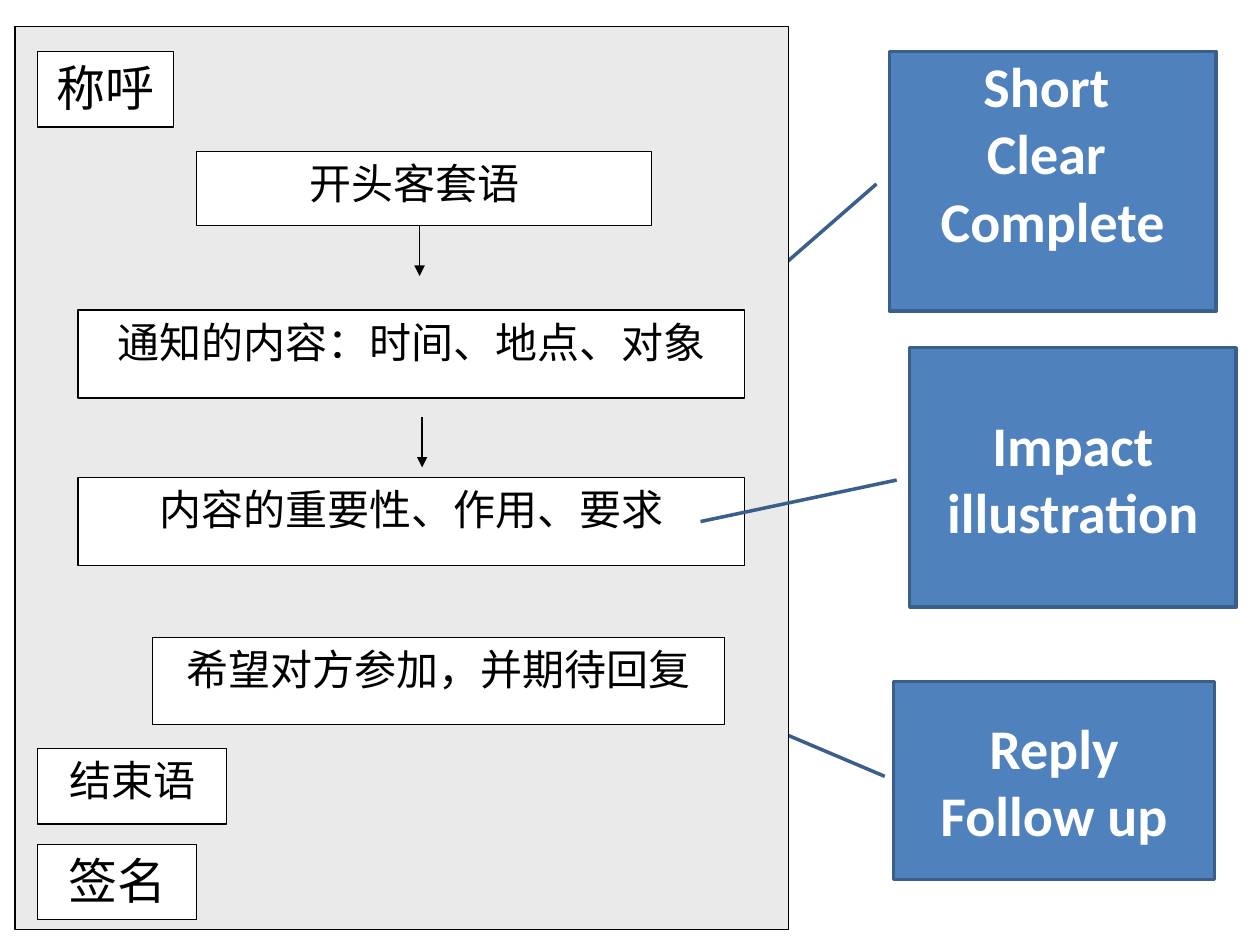
import pptx
import pptx.dml.color
import pptx.enum.shapes
import pptx.enum.text
import pptx.oxml.ns
import pptx.util
from lxml import etree

SHAPE = pptx.enum.shapes.MSO_SHAPE
ALIGN = pptx.enum.text.PP_ALIGN
ANCHOR = pptx.enum.text.MSO_ANCHOR
CELL = pptx.util.Inches(0.1)
COLS, ROWS = 100, 75

STEP_FONT = {"name": "Times New Roman", "size": pptx.util.Pt(24), "bold": False}
ENDS_FONT = {**STEP_FONT, "size": pptx.util.Pt(28)}
CALLOUT_FONT = {"name": "Calibri", "size": pptx.util.Pt(32), "bold": True}

STEPS = [
    ("称呼", (1.8, 2, 10.8, 6), ENDS_FONT, 0),
    ("开头客套语", (14.4, 9.9, 36.1, 5.9), STEP_FONT, 8),
    ("通知的内容：时间、地点、对象", (5, 22.5, 52.9, 7), STEP_FONT, 0),
    ("内容的重要性、作用、要求", (5, 35.8, 52.9, 7), STEP_FONT, 0),
    ("希望对方参加，并期待回复", (10.9, 48.5, 45.4, 6.9), STEP_FONT, 0),
    ("结束语", (1.8, 57.3, 15, 6), STEP_FONT, 0),
    ("签名", (1.8, 64.9, 12.6, 6), ENDS_FONT, 0),
]
ARROWS = [(32.1, 15.8), (32.3, 31)]
ARROW_ROWS = 4


def grid(*cells):
    """Turn grid cells into slide lengths."""
    return [round(c * CELL) for c in cells]


def colour(value):
    """Return the colour of a hex string."""
    return pptx.dml.color.RGBColor.from_string(value)


def set_attrs(target, values):
    """Set each named value on the target."""
    for name, value in values.items():
        setattr(target, name, value)


def add_box(shapes, kind, box, fill, line, width):
    """Add a filled, outlined shape without a shadow."""
    sp = shapes.add_shape(kind, *grid(*box))
    sp.shadow.inherit = False
    sp.fill.solid()
    sp.fill.fore_color.rgb = colour(fill)
    sp.line.color.rgb = colour(line)
    sp.line.width = pptx.util.Pt(width)
    return sp


def write(sp, lines, font, ink, frame, indent=0):
    """Write the lines as paragraphs, centred unless indented."""
    tf = sp.text_frame
    set_attrs(tf, {"word_wrap": True, **frame})
    for i, text in enumerate(lines):
        p = tf.paragraphs[0] if i == 0 else tf.add_paragraph()
        p.alignment = ALIGN.JUSTIFY if indent else ALIGN.CENTER
        if indent:
            p._p.get_or_add_pPr().set("indent", str(grid(indent)[0]))
        r = p.add_run()
        r.text = text
        set_attrs(r.font, font)
        r.font.color.rgb = colour(ink)


def add_arrow(shapes, x, y):
    """Add a downward arrow starting at the given cell."""
    cxn = shapes.add_connector(
        pptx.enum.shapes.MSO_CONNECTOR.STRAIGHT, *grid(x, y, x, y + ARROW_ROWS))
    cxn.line.color.rgb = colour("000000")
    cxn.line.width = pptx.util.Pt(0.75)
    qn = pptx.oxml.ns.qn
    etree.SubElement(cxn.line._get_or_add_ln(), qn("a:tailEnd"), type="triangle")
    etree.SubElement(cxn._element.spPr, qn("a:effectLst"))


def letter_panel(s, box):
    """Place the letter outline, its steps and arrows inside the box."""
    left, top = box[:2]
    shapes = s.shapes.add_group_shape().shapes
    add_box(shapes, SHAPE.RECTANGLE, box, "EAEAEA", "000000", 0.75)
    for text, (x, y, w, h), font, indent in STEPS:
        sp = add_box(shapes, SHAPE.RECTANGLE, (left + x, top + y, w, h),
                     "FFFFFF", "000000", 0.75)
        write(sp, [text], font, "000000", {"vertical_anchor": ANCHOR.TOP}, indent)
    for x, y in ARROWS:
        add_arrow(shapes, left + x, top + y)


def callout(s, box, lines, pointer, frame):
    """Place a note in the box with a pointer line to the letter."""
    sp = add_box(s.shapes, SHAPE.LINE_CALLOUT_1, box, "4F81BD", "3A5F8C", 2)
    for i, value in enumerate(pointer):
        sp.adjustments[i] = value
    write(sp, lines, CALLOUT_FONT, "FFFFFF", frame)


def main():
    """Build and save the slide."""
    prs = pptx.Presentation()
    prs.slide_width, prs.slide_height = grid(COLS, ROWS)
    s = prs.slides.add_slide(prs.slide_layouts[6])
    middle = {"vertical_anchor": ANCHOR.MIDDLE}
    high = {"vertical_anchor": ANCHOR.TOP, "margin_top": 0}
    callout(s, (70.9, 54.1, 25.5, 15.7), ["Reply", "Follow up"],
            (0.479, -0.027, 0.058, -0.638), middle)
    callout(s, (70.6, 4.1, 25.9, 20.6), ["Short ", "Clear ", "Complete"],
            (0.51, -0.04, 1.141, -0.616), high)
    letter_panel(s, (1.2, 2.1, 61.4, 71.7))
    callout(s, (72.2, 27.6, 25.9, 20.6), ["Impact illustration"],
            (0.51, -0.04, 0.67, -0.641), middle)
    prs.save("out.pptx")


if __name__ == "__main__":
    main()
